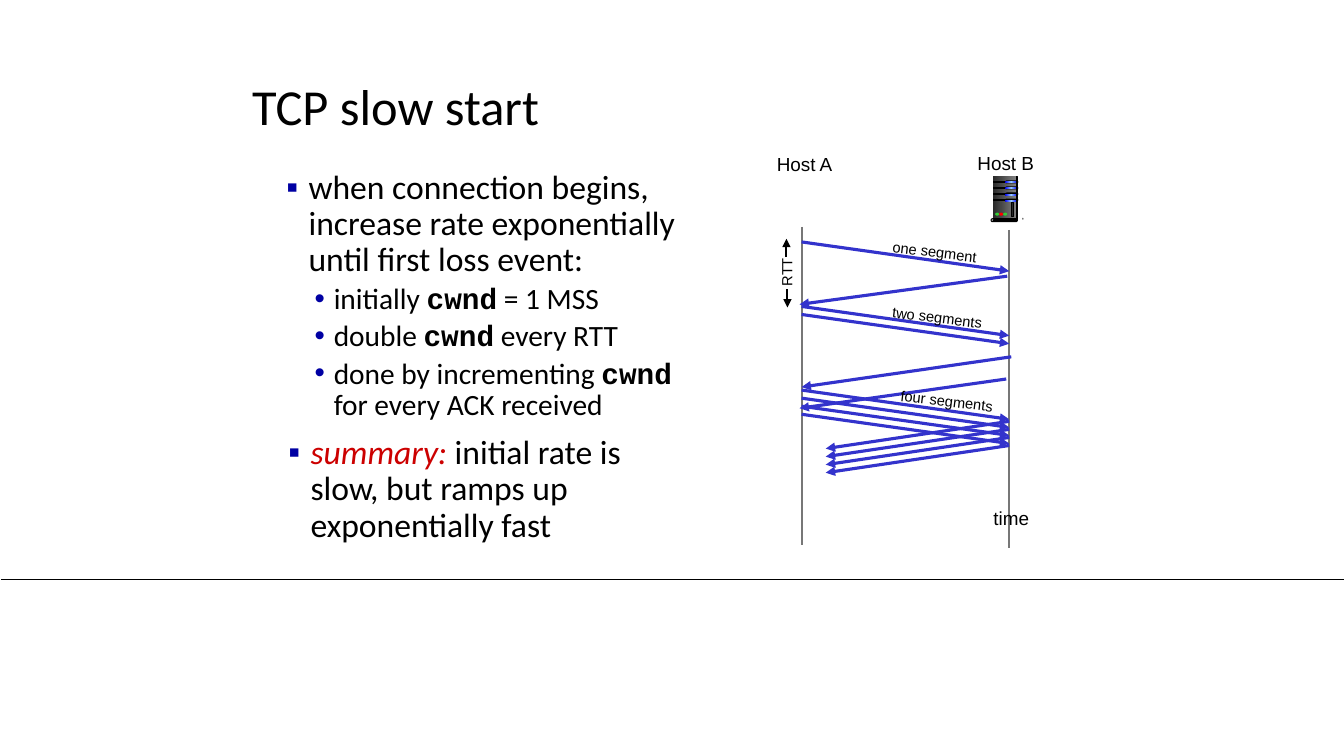
from dataclasses import dataclass
from typing import NamedTuple

from lxml.etree import SubElement
from pptx import Presentation
from pptx.dml.color import RGBColor
from pptx.enum.shapes import MSO_CONNECTOR, MSO_SHAPE as Shape
from pptx.enum.text import MSO_ANCHOR, MSO_AUTO_SIZE, PP_ALIGN
from pptx.oxml.ns import qn
from pptx.util import Inches, Pt


@dataclass(frozen=True)
class Theme:
    body_font: str = "Calibri"
    code_font: str = "Courier New"
    label_font: str = "Arial"
    title_size: float = 36
    list_sizes: tuple = (24, 21)
    host_size: float = 13.5
    note_size: float = 10.5
    text: str = "000000"
    accent: str = "CC0000"
    bullet: str = "0000A3"
    message: str = "3333CC"
    timeline: str = "777777"
    side: tuple = ("DDDDDD", "333333")
    front: tuple = ("292929", "808080")
    edge: tuple = ("808080", "F8F8F8")
    pillar: tuple = ("333333", "DDDDDD", "333333")
    light: tuple = ("0000FF", "99CCFF", "0000FF")
    base: tuple = ("000000", "808080")
    laptop: tuple = ("000099", "FFFFFF")
    foot: str = "333333"
    plinth: str = "DDDDDD"
    green: str = "33CC33"
    red: str = "FF0000"


T = Theme()


class Span(NamedTuple):
    text: str
    style: str = "plain"


class Item(NamedTuple):
    level: int
    spans: tuple


class Label(NamedTuple):
    text: str
    box: tuple
    size: float
    angle: float = 0


class Segment(NamedTuple):
    start: tuple
    end: tuple
    color: str = T.message
    width: float = 2.25
    arrow: bool = True


class Part(NamedTuple):
    kind: Shape
    box: tuple
    fill: str | tuple
    outlined: bool = False


class Panel(NamedTuple):
    points: tuple
    fill: str | tuple


OPENING = (
    Item(0, (Span("when connection begins, increase rate exponentially until first loss event:"),)),
    Item(1, (Span("initially "), Span("cwnd", "code"), Span(" = 1 MSS"))),
    Item(1, (Span("double "), Span("cwnd", "code"), Span(" every RTT"))),
    Item(1, (Span("done by incrementing "), Span("cwnd", "code"), Span(" for every ACK received"))),
)
SUMMARY = (
    Item(0, (Span("summary: ", "accent"),
             Span("initial rate is slow, but ramps up exponentially fast"))),
)
LABELS = (
    Label("Host A", (7.6, 1.47, 0.76, 0.33), T.host_size),
    Label("Host B", (9.59, 1.46, 0.77, 0.33), T.host_size),
    Label("time", (9.75, 4.98, 0.56, 0.33), T.host_size),
    Label("RTT", (7.56, 2.56, 0.49, 0.28), T.note_size, 270),
    Label("one segment", (8.74, 2.36, 1.06, 0.28), T.note_size, 6.8),
    Label("two segments", (8.74, 3.01, 1.11, 0.28), T.note_size, 6.8),
    Label("four segments", (8.82, 3.84, 1.14, 0.28), T.note_size, 6.8),
)
HOST_A, HOST_B, STEP = 7.95, 10.01, 0.08
SEGMENTS = (
    Segment((0.01, 5.75), (13.33, 5.75), T.text, 0.5, False),
    Segment((HOST_A, 2.25), (HOST_A, 5.41), T.timeline, 1.5, False),
    Segment((HOST_B, 2.28), (HOST_B, 5.44), T.timeline, 1.5, False),
    Segment((7.8, 2.55), (7.8, 2.37), T.text, 1.5),
    Segment((7.81, 2.87), (7.81, 3.05), T.text, 1.5),
    Segment((HOST_A, 2.4), (HOST_B, 2.69)),
    Segment((9.99, 2.74), (7.93, 3.02)),
    *(Segment((HOST_A, 3.04 + i * STEP), (HOST_B, 3.33 + i * STEP)) for i in range(2)),
    Segment((10.03, 3.54), (HOST_A, 3.84)),
    Segment((9.98, 3.76), (7.93, 4.05)),
    *(Segment((HOST_A, 3.87 + i * STEP), (HOST_B, 4.16 + i * STEP)) for i in range(4)),
    *(Segment((HOST_B, 4.18 + i * STEP), (8.19, 4.45 + i * STEP)) for i in range(4)),
)
LAPTOP = Panel(((8.08, 1.78), (7.86, 1.79), (7.82, 1.96), (8.02, 2.01)), T.laptop)
SLOT_TOPS = [1.8 + i * 0.06 for i in range(4)]


def slot(y: float) -> tuple:
    """One drive bay: groove, light and the notch on the cabinet's side."""
    return (
        Part(Shape.RECTANGLE, (9.85, y, 0.13, 0.01), T.text, True),
        Part(Shape.ROUNDED_RECTANGLE, (9.97, y - 0.01, 0.13, 0.03), T.text),
        Part(Shape.ROUNDED_RECTANGLE, (9.97, y, 0.12, 0.02), T.light),
        Panel(((10.09, y), (10.14, y + 0.02), (10.14, y + 0.04), (10.09, y + 0.02)), T.front),
    )


SERVER = (
    Panel(((10.09, 1.75), (10.14, 1.8), (10.14, 2.16), (10.08, 2.18)), T.side),
    Part(Shape.RECTANGLE, (9.85, 1.75, 0.23, 0.43), T.front),
    Panel(((10.09, 1.77), (10.13, 1.81), (10.11, 2.1), (10.09, 2.16)), T.edge),
    *(piece for y in SLOT_TOPS for piece in slot(y)),
    Part(Shape.RECTANGLE, (10.08, 1.75, 0.01, 0.43), T.pillar, True),
    Part(Shape.OVAL, (10.14, 2.16, 0.01, 0.02), T.foot),
    Panel(((10.09, 2.17), (10.09, 2.19), (10.14, 2.17), (10.14, 2.16)), T.foot),
    Part(Shape.ROUNDED_RECTANGLE, (9.83, 2.17, 0.26, 0.03), T.plinth, True),
    Part(Shape.ROUNDED_RECTANGLE, (9.85, 2.18, 0.24, 0.01), T.base, True),
    *(Part(Shape.OVAL, (9.87 + i * 0.04, 2.11, 0.04, 0.03), color)
      for i, color in enumerate((T.green, T.red, T.green))),
    Part(Shape.RECTANGLE, (10.03, 2.01, 0.02, 0.14), T.front[0], True),
)


def rgb(color: str) -> RGBColor:
    return RGBColor.from_string(color)


def style_run(r, font: str, size: float, color: str = T.text) -> None:
    r.font.name, r.font.size = font, Pt(size)
    r.font.color.rgb = rgb(color)


def place(sp, box: tuple) -> None:
    sp.left, sp.top, sp.width, sp.height = map(Inches, box)


def paint(sp, fill: str | tuple, outlined: bool = False, angle: float = 0) -> None:
    """Fill with one colour, or with a gradient of evenly spaced colours."""
    sp.shadow.inherit = False
    if isinstance(fill, str):
        sp.fill.solid()
        sp.fill.fore_color.rgb = rgb(fill)
    else:
        sp.fill.gradient()
        sp.fill.gradient_angle = angle
        stops = next(sp._element.iter(qn("a:gsLst")))
        stops.clear()
        for i, color in enumerate(fill):
            stop = SubElement(stops, qn("a:gs"), pos=str(100000 * i // (len(fill) - 1)))
            SubElement(stop, qn("a:srgbClr"), val=color)
    if outlined:
        sp.line.color.rgb = rgb(T.text)
        sp.line.width = Pt(0.75)
    else:
        sp.line.fill.background()


def add_piece(shapes, piece: Part | Panel, angle: float = 0) -> None:
    if isinstance(piece, Panel):
        outline = shapes.build_freeform(*piece.points[0], scale=Inches(1))
        outline.add_line_segments(piece.points[1:])
        paint(outline.convert_to_shape(), piece.fill, angle=angle)
        return
    sp = shapes.add_shape(piece.kind, *map(Inches, piece.box))
    if piece.kind == Shape.ROUNDED_RECTANGLE:
        sp.adjustments[0] = 0.5
    paint(sp, piece.fill, piece.outlined)


def add_segment(shapes, seg: Segment) -> None:
    line = shapes.add_connector(MSO_CONNECTOR.STRAIGHT, *map(Inches, seg.start + seg.end))
    line.line.color.rgb = rgb(seg.color)
    line.line.width = Pt(seg.width)
    if seg.arrow:
        SubElement(line.line._get_or_add_ln(), qn("a:tailEnd"), type="triangle")
    SubElement(line._element.spPr, qn("a:effectLst"))


def add_label(shapes, label: Label) -> None:
    sp = shapes.add_textbox(*map(Inches, label.box))
    sp.rotation = label.angle
    tf = sp.text_frame
    tf.text = label.text
    tf.word_wrap, tf.auto_size = False, MSO_AUTO_SIZE.SHAPE_TO_FIT_TEXT
    p = tf.paragraphs[0]
    p.alignment = PP_ALIGN.CENTER
    style_run(p.runs[0], T.label_font, label.size)


def fill_list(sp, box: tuple, items: tuple) -> None:
    place(sp, box)
    tf = sp.text_frame
    tf.auto_size, tf.vertical_anchor = MSO_AUTO_SIZE.NONE, MSO_ANCHOR.TOP
    tf.margin_left = tf.margin_right = Inches(0.07)
    tf.margin_top = tf.margin_bottom = Inches(0.04)
    for i, item in enumerate(items):
        p = tf.add_paragraph() if i else tf.paragraphs[0]
        p.level = item.level
        margin, indent, mark = ((0.32, -0.22, "▪"), (0.57, -0.19, "•"))[item.level]
        pPr = p._p.get_or_add_pPr()
        pPr.set("marL", str(Inches(margin)))
        pPr.set("indent", str(Inches(indent)))
        SubElement(SubElement(pPr, qn("a:buClr")), qn("a:srgbClr"), val=T.bullet)
        SubElement(pPr, qn("a:buFont"), typeface=T.label_font)
        SubElement(pPr, qn("a:buChar"), char=mark)
        p.line_spacing, p.space_before = 0.9, Pt(3.8 if i else 0)
        for span in item.spans:
            r = p.add_run()
            r.text = span.text
            code, accent = span.style == "code", span.style == "accent"
            style_run(r, T.code_font if code else T.body_font, T.list_sizes[item.level],
                      T.accent if accent else T.text)
            r.font.bold, r.font.italic = code, accent


def fill_title(sp) -> None:
    place(sp, (2.4, 0.72, 9.34, 0.73))
    tf = sp.text_frame
    tf.text = "TCP slow start"
    tf.auto_size, tf.vertical_anchor = MSO_AUTO_SIZE.NONE, MSO_ANCHOR.MIDDLE
    p = tf.paragraphs[0]
    p.alignment, p.line_spacing = PP_ALIGN.LEFT, 0.9
    style_run(p.runs[0], T.body_font, T.title_size)


def main() -> None:
    prs = Presentation()
    prs.slide_width, prs.slide_height = Inches(13.33), Inches(7.5)
    s = prs.slides.add_slide(prs.slide_layouts[3])
    title, opening, summary = s.placeholders
    fill_title(title)
    fill_list(opening, (2.67, 1.65, 4.2, 4.28), OPENING)
    fill_list(summary, (2.69, 4.28, 4.2, 1.56), SUMMARY)
    for seg in SEGMENTS:
        add_segment(s.shapes, seg)
    for label in LABELS:
        add_label(s.shapes, label)
    add_piece(s.shapes, LAPTOP, angle=315)
    server = s.shapes.add_group_shape()
    for piece in SERVER:
        add_piece(server.shapes, piece)
    prs.save("out.pptx")


if __name__ == "__main__":
    main()
